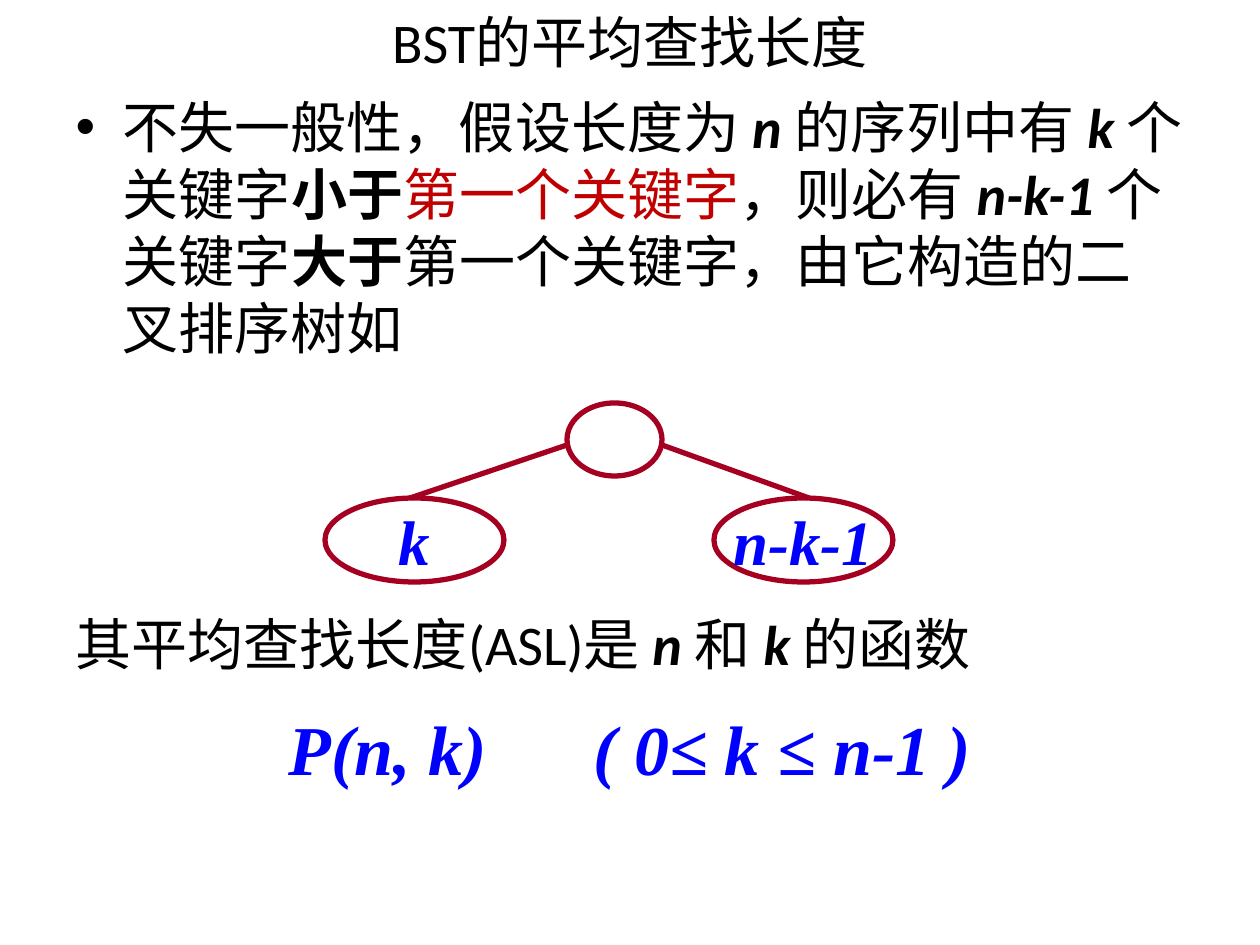
from lxml import etree
from pptx import Presentation
from pptx.dml.color import RGBColor
from pptx.enum.shapes import MSO_CONNECTOR, MSO_SHAPE
from pptx.enum.text import MSO_ANCHOR, PP_ALIGN
from pptx.oxml.ns import qn
from pptx.util import Pt

EMU_PER_PX = 914400 / 126
ELLIPSE = MSO_SHAPE.OVAL
STRAIGHT = MSO_CONNECTOR.STRAIGHT
CENTER = PP_ALIGN.CENTER
LEFT = PP_ALIGN.LEFT
MIDDLE = MSO_ANCHOR.MIDDLE

BLACK, RED, BLUE, CRIMSON = "000000", "C00000", "0000FF", "A50021"
PLAIN = {"name": "Calibri", "size": Pt(32), "bold": False, "italic": False}
BOLD = {**PLAIN, "bold": True}
VARIABLE = {**BOLD, "italic": True}
MATH = {**VARIABLE, "name": "Times New Roman"}

CONDITION = [
    ("不失一般性，假设长度为 ", PLAIN, BLACK),
    ("n ", VARIABLE, BLACK),
    ("的序列中有 ", PLAIN, BLACK),
    ("k ", VARIABLE, BLACK),
    ("个关键字", PLAIN, BLACK),
    ("小于", BOLD, BLACK),
    ("第一个关键字", PLAIN, RED),
    ("，则必有 ", PLAIN, BLACK),
    ("n-k-1 ", VARIABLE, BLACK),
    ("个关键字", PLAIN, BLACK),
    ("大于", BOLD, BLACK),
    ("第一个关键字，由它构造的二叉排序树如", PLAIN, BLACK),
]
CONCLUSION = [
    ("其平均查找长度(ASL)是 ", PLAIN, BLACK),
    ("n ", VARIABLE, BLACK),
    ("和 ", PLAIN, BLACK),
    ("k ", VARIABLE, BLACK),
    ("的函数", PLAIN, BLACK),
]


def px(length):
    return round(length * EMU_PER_PX)


def color(hex_string):
    return RGBColor.from_string(hex_string)


def place(shape, box):
    for name, length in zip(("left", "top", "width", "height"), box):
        setattr(shape, name, px(length))


def add_runs(paragraph, runs):
    for text, font_format, hex_string in runs:
        run = paragraph.add_run()
        run.text = text
        for name, value in font_format.items():
            setattr(run.font, name, value)
        run.font.color.rgb = color(hex_string)


def set_outline(shape):
    shape.line.color.rgb = color(CRIMSON)
    shape.line.width = Pt(3)


def add_title(slide, box):
    title = slide.shapes.title
    place(title, box)
    title.text_frame.vertical_anchor = MIDDLE
    paragraph = title.text_frame.paragraphs[0]
    paragraph.alignment = CENTER
    add_runs(paragraph, [("BST的平均查找长度", PLAIN, BLACK)])


def add_body(slide, box):
    """Fill the body, leaving room for the tree between its two paragraphs."""
    body = slide.placeholders[1]
    place(body, box)
    add_runs(body.text_frame.paragraphs[0], CONDITION)
    conclusion = body.text_frame.add_paragraph()
    conclusion.space_before = Pt(142)
    properties = conclusion._p.get_or_add_pPr()
    properties.set("marL", "0")
    properties.set("indent", "0")
    etree.SubElement(properties, qn("a:buNone"))
    add_runs(conclusion, CONCLUSION)


def add_node(slide, box, label=None):
    node = slide.shapes.add_shape(ELLIPSE, *map(px, box))
    node.shadow.inherit = False
    node.fill.background()
    set_outline(node)
    if label:
        node.text_frame.word_wrap = False
        node.text_frame.vertical_anchor = MIDDLE
        paragraph = node.text_frame.paragraphs[0]
        paragraph.alignment = CENTER
        add_runs(paragraph, [(label, {**MATH, "size": Pt(36)}, BLUE)])


def add_branch(slide, start, end):
    branch = slide.shapes.add_connector(STRAIGHT, *map(px, (*start, *end)))
    set_outline(branch)
    etree.SubElement(branch._element.spPr, qn("a:effectLst"))


def add_tree(slide, box):
    left, top, width, height = box
    root_left, root_width, root_height = left + 242, 95, 73
    child_width, child_height = 179, 84
    child_top = top + height - child_height
    right_child = left + width - child_width
    joint = top + 42

    add_branch(slide, (root_left, joint), (left + 85, child_top))
    add_branch(slide, (root_left + root_width, joint), (right_child + 95, child_top))
    add_node(slide, (root_left, top, root_width, root_height))
    for child_left, label in ((left, "k"), (right_child, "n-k-1")):
        add_node(slide, (child_left, child_top, child_width, child_height), label)


def add_formula(slide, box):
    text_box = slide.shapes.add_textbox(*map(px, box))
    text_box.text_frame.word_wrap = True
    paragraph = text_box.text_frame.paragraphs[0]
    paragraph.alignment = LEFT
    tab_stops = etree.SubElement(paragraph._p.get_or_add_pPr(), qn("a:tabLst"))
    etree.SubElement(tab_stops, qn("a:tab"), pos=str(px(305)), algn="l")
    add_runs(paragraph, [("P(n, k)\t( 0≤ k ≤ n-1 )", {**MATH, "size": Pt(40)}, BLUE)])


def main():
    presentation = Presentation()
    presentation.slide_width = px(1260)
    presentation.slide_height = px(945)
    title_and_content = presentation.slide_layouts[1]
    slide = presentation.slides.add_slide(title_and_content)
    add_title(slide, (63, -4, 1134, 90))
    add_body(slide, (63, 86, 1134, 859))
    add_tree(slide, (325, 403, 568, 179))
    add_formula(slide, (276, 699, 720, 97))
    presentation.save("out.pptx")


if __name__ == "__main__":
    main()
